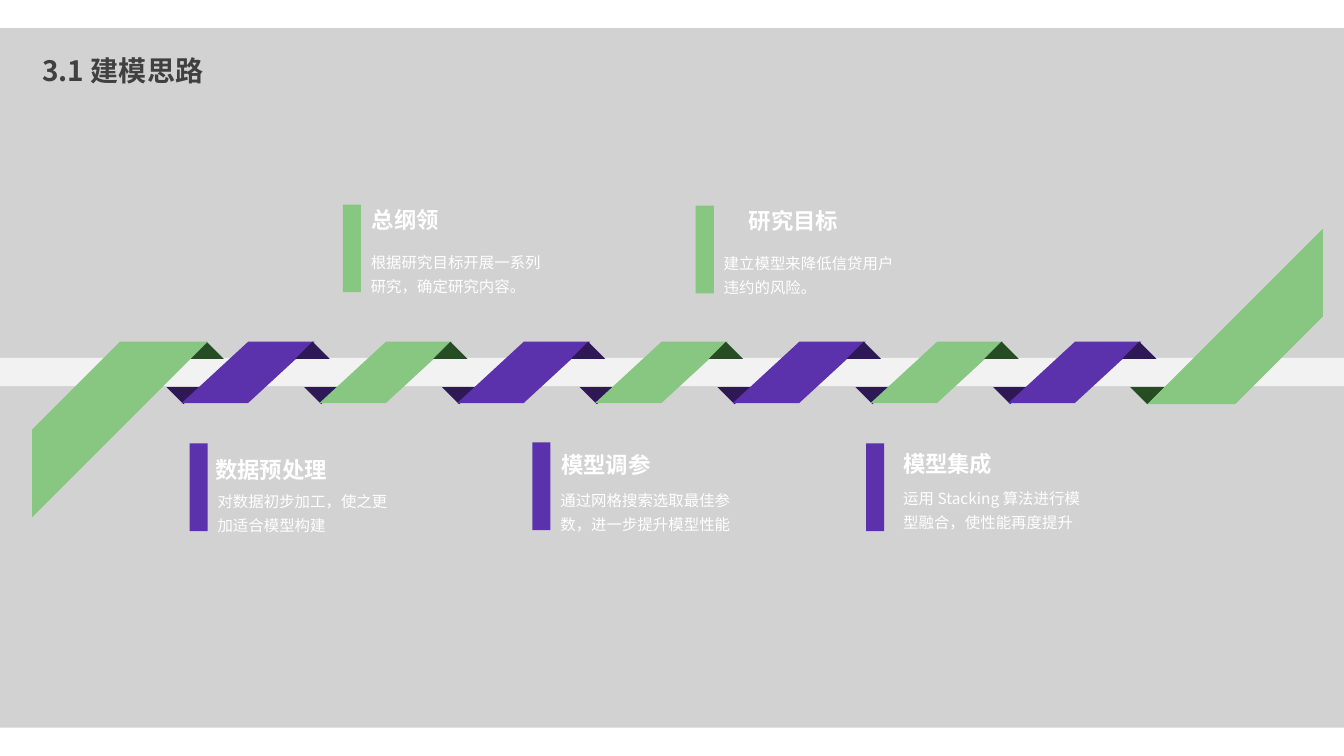
import pptx
import pptx.dml.color
import pptx.enum.shapes
import pptx.enum.text
import pptx.oxml
import pptx.oxml.ns
import pptx.util

Inches = pptx.util.Inches
SHAPE = pptx.enum.shapes.MSO_SHAPE
ALIGN = pptx.enum.text.PP_ALIGN
ANCHOR = pptx.enum.text.MSO_ANCHOR
AUTO_SIZE = pptx.enum.text.MSO_AUTO_SIZE

COLORS = {
    "panel": "D2D2D2",
    "band": "F2F2F2",
    "title": "404040",
    "text": "FFFFFF",
    "green": "87C782",
    "purple": "5B32AB",
    "green_fold": "254C22",
    "purple_fold": "2E1956",
}
BODY_FONT = "Noto Sans CJK SC"
HEADING_FONT = "League Spartan"
SEGMENT_PITCH = (10 - 1.8) / 6
FOLD_WIDTH, FOLD_HEIGHT = 0.34, 0.17

CALLOUTS = [
    (3.4, 2.03, "green", "总纲领", (0.18, -0.11), "根据研究目标开展一系列研究，确定研究内容。", (0.18, 0.38)),
    (1.88, 4.4, "purple", "数据预处理", (0.15, 0), "对数据初步加工，使之更加适合模型构建", (0.18, 0.38)),
    (6.9, 2.04, "green", "研究目标", (0.42, -0.11), "建立模型来降低信贷用户违约的风险。", (0.18, 0.38)),
    (5.28, 4.39, "purple", "模型调参", (0.18, -0.04), "通过网格搜索选取最佳参数，进一步提升模型性能", (0.18, 0.38)),
    (8.59, 4.4, "purple", "模型集成", (0.26, -0.06), "运用 Stacking 算法进行模型融合，使性能再度提升", (0.27, 0.35)),
]


def write_text(shape, text, *, size, font=BODY_FONT, color="text", bold=False, align=ALIGN.LEFT,
               line_spacing=1.3, space_before=0, wrap=True, anchor=ANCHOR.TOP,
               auto_size=AUTO_SIZE.SHAPE_TO_FIT_TEXT):
    """Fill a shape with one formatted paragraph."""
    frame = shape.text_frame
    frame.auto_size = auto_size
    frame.word_wrap = wrap
    frame.vertical_anchor = anchor
    paragraph = frame.paragraphs[0]
    paragraph.alignment = align
    paragraph.line_spacing = line_spacing
    paragraph.space_before = pptx.util.Pt(space_before)
    run = paragraph.add_run()
    run.text = text
    run.font.size = pptx.util.Pt(size)
    run.font.bold = bold
    run.font.name = font
    run.font.color.rgb = pptx.dml.color.RGBColor.from_string(COLORS[color])
    east_asian = pptx.oxml.parse_xml(f'<a:ea {pptx.oxml.ns.nsdecls("a")} typeface="{font}"/>')
    run.font._element.find(pptx.oxml.ns.qn("a:latin")).addnext(east_asian)


def add_filled(shapes, kind, left, top, width, height, color, rotation=0, adjustment=None):
    """Add a flat preset shape without outline or shadow."""
    shape = shapes.add_shape(kind, Inches(left), Inches(top), Inches(width), Inches(height))
    shape.shadow.inherit = False
    shape.fill.solid()
    shape.fill.fore_color.rgb = pptx.dml.color.RGBColor.from_string(COLORS[color])
    shape.line.fill.background()
    shape.rotation = rotation
    if adjustment is not None:
        shape.adjustments[0] = adjustment
    return shape


def add_fold(shapes, left, top, color, rotation=0):
    """Add the dark triangle where the ribbon turns."""
    add_filled(shapes, SHAPE.ISOSCELES_TRIANGLE, left, top, FOLD_WIDTH, FOLD_HEIGHT, color, rotation)


def add_header(slide, left, top, width, height):
    """Place the grey panel and the slide title above it."""
    add_filled(slide.shapes, SHAPE.RECTANGLE, 0, 0.28, 13.33, 6.94, "panel")
    title = slide.shapes.title
    slide.shapes.element.append(title.element)
    title.left, title.top = Inches(left), Inches(top)
    title.width, title.height = Inches(width), Inches(height)
    write_text(title, "3.1 建模思路", size=20, color="title", bold=True, line_spacing=0.9,
               space_before=10, anchor=ANCHOR.MIDDLE, auto_size=AUTO_SIZE.NONE)


def add_segment(slide, left, top, color, upper_fold):
    """Place one ribbon turn with its lower and upper folds."""
    shapes = slide.shapes.add_group_shape().shapes
    add_fold(shapes, left - 0.15, top + 0.45, "purple_fold", 180)
    add_filled(shapes, SHAPE.PARALLELOGRAM, left, top, 1.32, 0.61, color, adjustment=1.084)
    add_fold(shapes, left + 1.13, top, upper_fold)


def add_ribbon(slide, left, top):
    """Wind the ribbon around the light band from end to end."""
    add_filled(slide.shapes, SHAPE.RECTANGLE, 0, top + 0.16, 13.33, 0.28, "band")
    start = slide.shapes.add_group_shape().shapes
    add_fold(start, left + 1.56, top, "green_fold")
    add_filled(start, SHAPE.DIAGONAL_STRIPE, left, top, 1.74, 1.74, "green", adjustment=0.5)
    for index in range(7):
        color = "green" if index % 2 else "purple"
        add_segment(slide, left + 1.48 + index * SEGMENT_PITCH, top, color, f"{color}_fold")
    finish = slide.shapes.add_group_shape().shapes
    add_fold(finish, left + 10.89, top + 0.45, "green_fold", 180)
    add_filled(finish, SHAPE.DIAGONAL_STRIPE, left + 11.06, top - 1.12, 1.74, 1.74, "green", 180, 0.5)


def add_callout(slide, left, top, color, heading, heading_offset, body, body_offset):
    """Place a colour bar with its heading and description."""
    shapes = slide.shapes.add_group_shape().shapes
    body_box = shapes.add_textbox(Inches(left + body_offset[0]), Inches(top + body_offset[1]),
                                  Inches(2), Inches(0.56))
    write_text(body_box, body, size=11)
    heading_box = shapes.add_textbox(Inches(left + heading_offset[0]), Inches(top + heading_offset[1]),
                                     Inches(0.22 * (len(heading) + 1)), Inches(0.42))
    write_text(heading_box, heading, size=16, font=HEADING_FONT, bold=True, align=ALIGN.CENTER, wrap=False)
    add_filled(shapes, SHAPE.RECTANGLE, left, top, 0.18, 0.87, color)


def main():
    """Build and save the presentation."""
    presentation = pptx.Presentation()
    presentation.slide_width, presentation.slide_height = Inches(13.33), Inches(7.5)
    slide = presentation.slides.add_slide(presentation.slide_layouts[5])
    add_header(slide, 0.32, 0.43, 4.99, 0.58)
    add_ribbon(slide, 0.32, 3.39)
    for callout in CALLOUTS:
        add_callout(slide, *callout)
    presentation.save("out.pptx")


if __name__ == "__main__":
    main()
